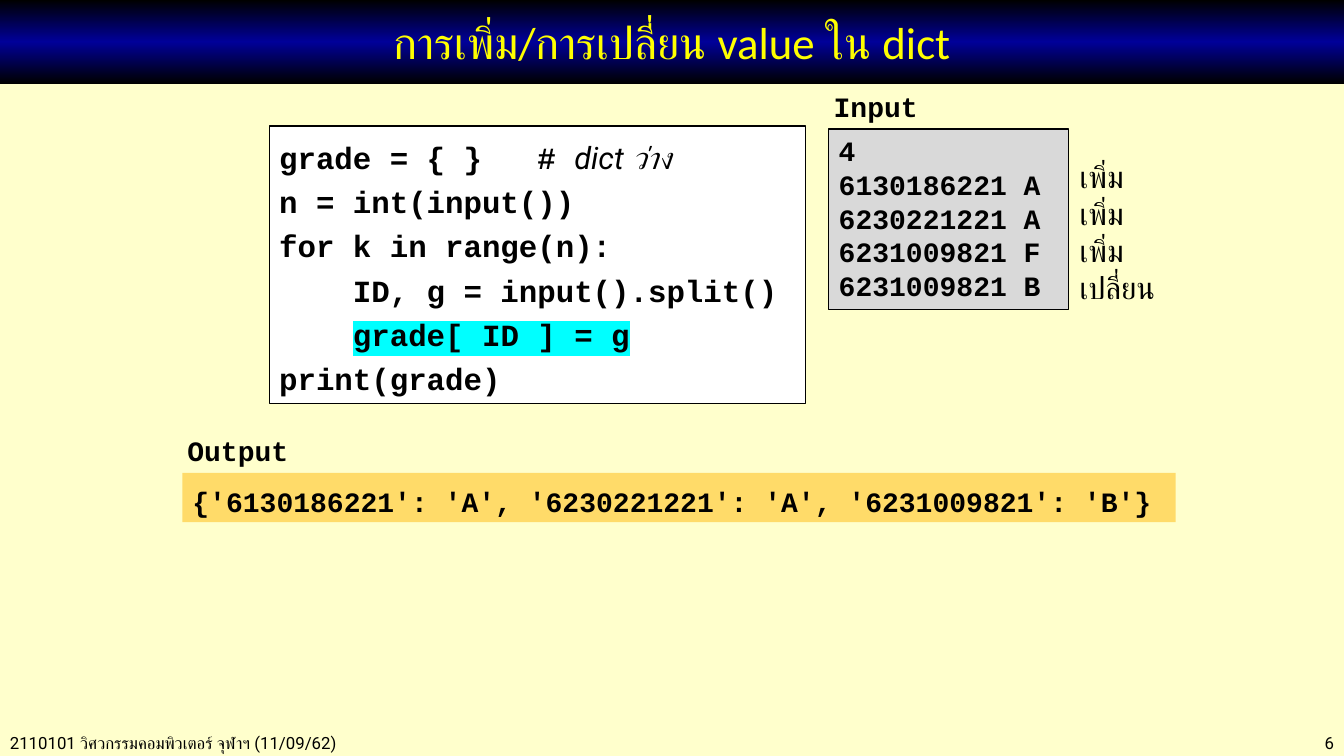
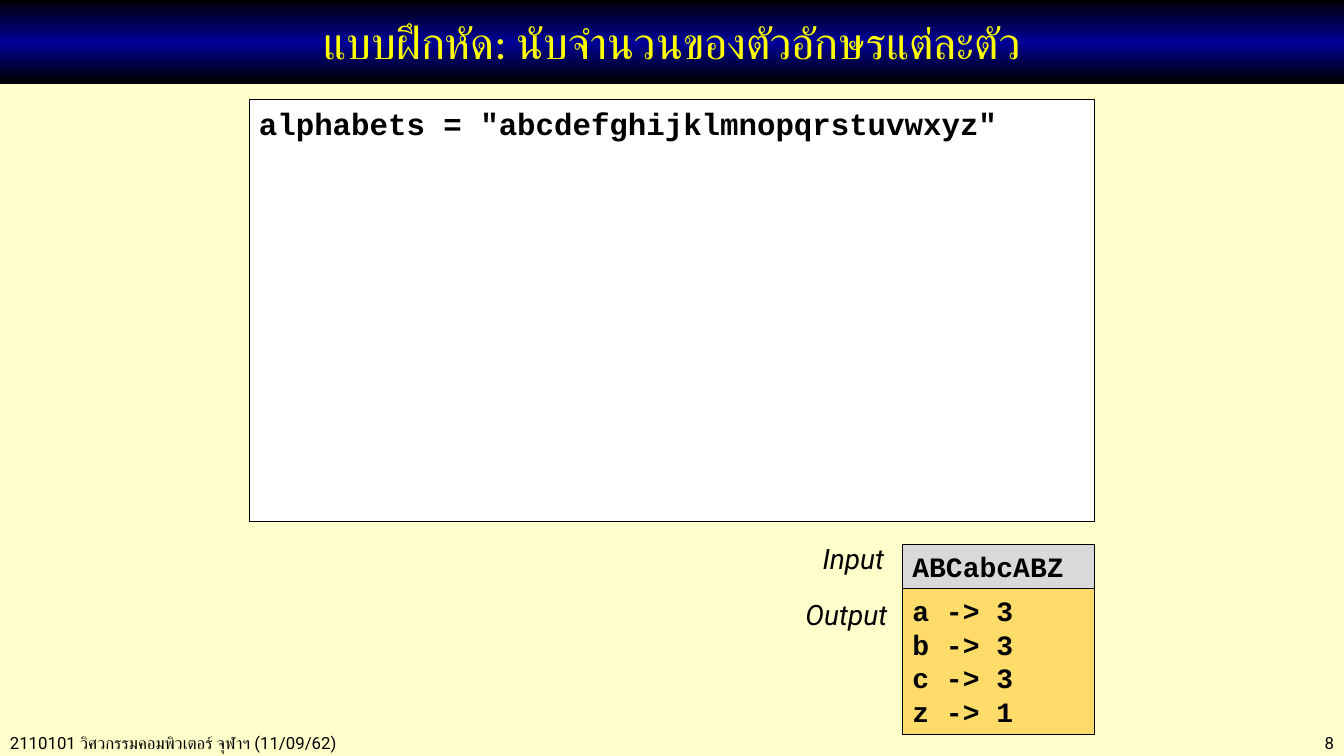
from copy import deepcopy

from lxml.etree import SubElement
from pptx import Presentation
from pptx.dml.color import RGBColor
from pptx.enum.shapes import MSO_SHAPE as Shape
from pptx.enum.text import MSO_ANCHOR as Anchor, PP_ALIGN as Align
from pptx.oxml.ns import qn
from pptx.util import Inches, Pt

BLACK, WHITE, NAVY, YELLOW = "000000", "FFFFFF", "000099", "FFFF00"
CREAM, GREY, GOLD, CYAN = "FFFFCC", "D9D9D9", "FFDB69", "00FFFF"
CODE = {"name": "Courier New", "bold": True}
CODE_22 = {**CODE, "size": Pt(22)}
CODE_20 = {**CODE, "size": Pt(20)}
NOTE_22 = {"name": "Roboto", "size": Pt(22)}
LABEL_20 = {"name": "Roboto", "size": Pt(20), "italic": True}
FOOTER = {"name": "Roboto", "size": Pt(12)}
TITLE = {"name": "Calibri", "size": Pt(32)}


def color(value):
    return RGBColor.from_string(value)


def add_text(page, area, lines, style, fill=None, border=False, spacing=1.0, align=Align.LEFT):
    place = [Inches(value) for value in area]
    if fill:
        box = page.shapes.add_shape(Shape.RECTANGLE, *place)
        box.shadow.inherit = False
        box.fill.solid()
        box.fill.fore_color.rgb = color(fill)
        if border:
            box.line.color.rgb = color(BLACK)
            box.line.width = Pt(0.75)
        else:
            box.line.fill.background()
    else:
        box = page.shapes.add_textbox(*place)
    frame = box.text_frame
    frame.word_wrap = True
    frame.vertical_anchor = Anchor.TOP
    for number, line in enumerate(lines):
        para = frame.add_paragraph() if number else frame.paragraphs[0]
        para.alignment = align
        para.line_spacing = spacing
        for text, changes in [(line, {})] if isinstance(line, str) else line:
            span = para.add_run()
            span.text = text
            span.font.color.rgb = color(BLACK)
            for name, value in {**style, **changes}.items():
                if name == "highlight":
                    properties = span.font._element
                    mark = SubElement(properties, qn("a:highlight"))
                    SubElement(mark, qn("a:srgbClr"), val=value)
                    properties.find(qn("a:solidFill")).addnext(mark)
                else:
                    setattr(span.font, name, value)


deck = Presentation()
deck.slide_width, deck.slide_height = Inches(13.33), Inches(7.5)
background = deck.slide_master.background.fill
background.solid()
background.fore_color.rgb = color(CREAM)

pages = []
for number, heading in [
    (6, "การเพิ่ม/การเปลี่ยน value ใน dict"),
    (8, "แบบฝึกหัด: นับจำนวนของตัวอักษรแต่ละตัว"),
]:
    page = deck.slides.add_slide(deck.slide_layouts[5])
    add_text(page, (0, 7.22, 5.2, 0.3), ["2110101 วิศวกรรมคอมพิวเตอร์ จุฬาฯ (11/09/62)"], FOOTER)
    add_text(page, (11.5, 7.22, 1.83, 0.3), [str(number)], FOOTER, align=Align.RIGHT)

    title = page.shapes.title
    title.left, title.top = Inches(0), Inches(0)
    title.width, title.height = deck.slide_width, Inches(0.83)
    title.fill.gradient()
    title.fill.gradient_angle = 90
    stops = title._element.spPr.find(".//" + qn("a:gsLst"))
    stops.insert(1, deepcopy(stops[0]))
    for stop, position, shade in zip(title.fill.gradient_stops, (0, 0.5, 1), (BLACK, NAVY, BLACK)):
        stop.position = position
        stop.color.rgb = color(shade)
    title.text_frame.vertical_anchor = Anchor.MIDDLE
    para = title.text_frame.paragraphs[0]
    para.alignment = Align.CENTER
    span = para.add_run()
    span.text = heading
    span.font.color.rgb = color(YELLOW)
    for name, value in TITLE.items():
        setattr(span.font, name, value)
    pages.append(page)

dict_page, exercise_page = pages

program = [
    [
        ("grade = { }   # ", {}),
        ("dict ", {"name": "Roboto", "bold": False, "italic": True}),
        ("ว่าง", {"bold": False, "italic": True}),
    ],
    "n = int(input())",
    "for k in range(n):",
    "    ID, g = input().split()",
    [("    ", {}), ("grade[ ID ] = g", {"highlight": CYAN})],
    "print(grade)",
]
add_text(dict_page, (2.67, 1.25, 5.32, 2.75), program, CODE_22, WHITE, True, 1.2)
add_text(dict_page, (8.17, 0.84, 1.7, 0.44), ["Input"], CODE_20)
records = ["4", "6130186221 A", "6230221221 A", "6231009821 F", "6231009821 B"]
add_text(dict_page, (8.22, 1.28, 2.38, 1.79), records, CODE_20, GREY, True)
add_text(dict_page, (10.61, 1.52, 1.06, 1.58), ["เพิ่ม", "เพิ่ม", "เพิ่ม", "เปลี่ยน"], NOTE_22)
add_text(dict_page, (1.76, 4.25, 1.7, 0.44), ["Output"], CODE_20)
result = ["{'6130186221': 'A', '6230221221': 'A', '6231009821': 'B'}"]
add_text(dict_page, (1.81, 4.69, 9.85, 0.49), result, CODE_20, GOLD, spacing=1.2)

alphabet = ['alphabets = "abcdefghijklmnopqrstuvwxyz"']
add_text(exercise_page, (2.47, 0.99, 8.39, 4.18), alphabet, CODE_22, WHITE, True)
add_text(exercise_page, (8.95, 5.4, 1.91, 0.44), ["ABCabcABZ"], CODE_20, GREY, True)
counts = [f"{letter} -> {count}" for letter, count in zip("abcz", (3, 3, 3, 1))]
add_text(exercise_page, (8.95, 5.84, 1.91, 1.45), counts, CODE_20, GOLD, True)
add_text(exercise_page, (8.06, 5.32, 0.87, 0.44), ["Input"], LABEL_20)
add_text(exercise_page, (7.89, 5.88, 1.06, 0.44), ["Output"], LABEL_20)

deck.save("out.pptx")
